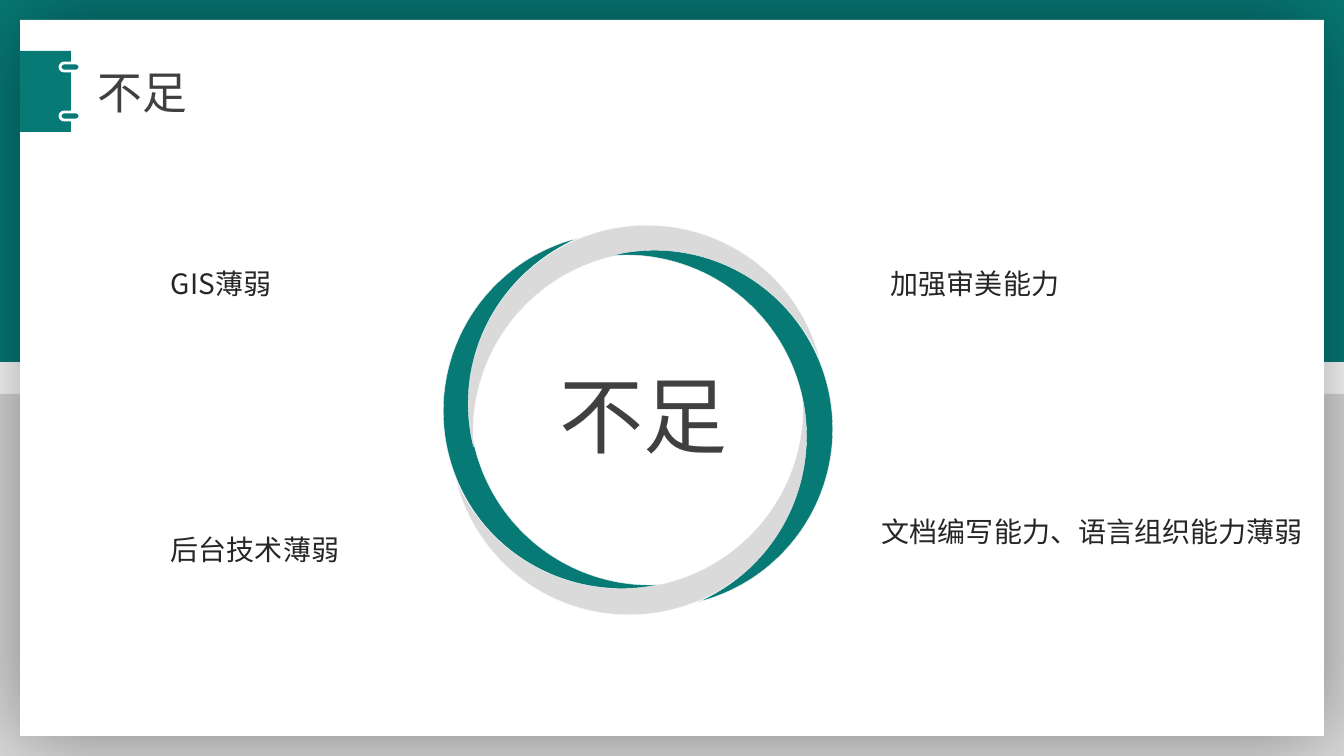
from lxml.etree import SubElement
from pptx import Presentation
from pptx.dml.color import RGBColor
from pptx.enum.lang import MSO_LANGUAGE_ID
from pptx.enum.shapes import MSO_SHAPE
from pptx.enum.text import MSO_AUTO_SIZE
from pptx.oxml.ns import qn
from pptx.util import Pt

SCALE = 12192000 / 1344
TEAL = RGBColor(0x07, 0x7A, 0x76)
GREY = RGBColor(0xDA, 0xDA, 0xDA)
WHITE = RGBColor(0xFF, 0xFF, 0xFF)
MOON_EDGE = RGBColor(0xF8, 0xF8, 0xF8)
HEADING = RGBColor(0x40, 0x40, 0x40)
BODY = RGBColor(0x26, 0x26, 0x26)
SANS_SC = "Noto Sans CJK SC"
SANS_JP = "Noto Sans CJK JP"


def px(length):
    return round(length * SCALE)


def add_filled(slide, preset, box, fill, edge=None, edge_width=0):
    shape = slide.shapes.add_shape(preset, *map(px, box))
    shape.shadow.inherit = False
    shape.fill.solid()
    shape.fill.fore_color.rgb = fill
    if edge is None:
        shape.line.fill.background()
    else:
        shape.line.color.rgb = edge
        shape.line.width = Pt(edge_width)
    return shape


def add_glow_shadow(shape, blur, opacity):
    effects = shape.element.spPr.find(qn("a:effectLst"))
    shadow = SubElement(effects, qn("a:outerShdw"), blurRad=str(Pt(blur)),
                        dist="0", algn="ctr", rotWithShape="0")
    black = SubElement(shadow, qn("a:srgbClr"), val="000000")
    SubElement(black, qn("a:alpha"), val=str(opacity * 1000))


def add_label(slide, box, wording, size, color, font=SANS_SC, spacing=None):
    label = slide.shapes.add_textbox(*map(px, box))
    frame = label.text_frame
    frame.word_wrap = True
    frame.auto_size = MSO_AUTO_SIZE.SHAPE_TO_FIT_TEXT
    paragraph = frame.paragraphs[0]
    if spacing:
        paragraph.line_spacing = spacing
    run = paragraph.add_run()
    run.text = wording
    run.font.size = Pt(size)
    run.font.name = font
    run.font.color.rgb = color
    run.font.language_id = MSO_LANGUAGE_ID.SIMPLIFIED_CHINESE
    SubElement(run.font._element, qn("a:ea"), typeface=font)


def draw_backdrop(slide, box):
    left, top, width, height = box
    band = 362
    margin = 20
    add_filled(slide, MSO_SHAPE.RECTANGLE, (left, top, width, band), TEAL)
    add_filled(slide, MSO_SHAPE.RECTANGLE,
               (left, top + height - band, width, band), GREY)
    card = add_filled(slide, MSO_SHAPE.RECTANGLE,
                      (left + margin, top + margin,
                       width - 2 * margin, height - 2 * margin), WHITE)
    add_glow_shadow(card, 63, 40)


def draw_header(slide, box):
    left, top, width, height = box
    tab_width = 51
    add_filled(slide, MSO_SHAPE.RECTANGLE, (left, top, tab_width, height), TEAL)
    for ring_top in (top + 6, top + 55):
        ring = add_filled(slide, MSO_SHAPE.ROUNDED_RECTANGLE,
                          (left + 46, ring_top, 8, 20), TEAL, WHITE, 2)
        ring.adjustments[0] = 0.5
        ring.rotation = 90
    add_label(slide, (left + 68, top + 9, width - 68, 65), "不足", 32, HEADING)


def draw_moon_ring(slide, box):
    left, top, width, height = box
    center_x, center_y = left + width / 2, top + height / 2
    moon_width, moon_height = 178, 357
    moons = (
        (-103, 13, 345.9, TEAL),
        (-13, -103, 75.9, GREY),
        (13, 103, 255.9, GREY),
        (103, -13, 165.9, TEAL),
    )
    for shift_x, shift_y, angle, fill in moons:
        moon_box = (center_x + shift_x - moon_width / 2,
                    center_y + shift_y - moon_height / 2,
                    moon_width, moon_height)
        moon = add_filled(slide, MSO_SHAPE.MOON, moon_box, fill, MOON_EDGE, 0.25)
        moon.adjustments[0] = 0.152
        moon.rotation = angle
    add_label(slide, (left + 107, top + 134, 192, 112), "不足", 60,
              HEADING, SANS_JP)


def draw_shortcomings(slide, box):
    left, top, width, height = box
    shortcomings = (
        (0, 0, 304, "GIS薄弱"),
        (720, 0, 359, "加强审美能力"),
        (0, 266, 304, "后台技术薄弱"),
        (711, 248, width - 711, "文档编写能力、语言组织能力薄弱"),
    )
    for shift_x, shift_y, label_width, wording in shortcomings:
        add_label(slide, (left + shift_x, top + shift_y, label_width, 68),
                  wording, 20, BODY, spacing=2.0)


def main():
    deck = Presentation()
    deck.slide_width = px(1344)
    deck.slide_height = px(756)
    slide = deck.slides.add_slide(deck.slide_layouts[6])
    draw_backdrop(slide, (0, 0, 1344, 756))
    draw_header(slide, (20, 51, 520, 81))
    draw_moon_ring(slide, (443, 225, 390, 390))
    draw_shortcomings(slide, (161, 228, 1160, 334))
    deck.save("out.pptx")


if __name__ == "__main__":
    main()
